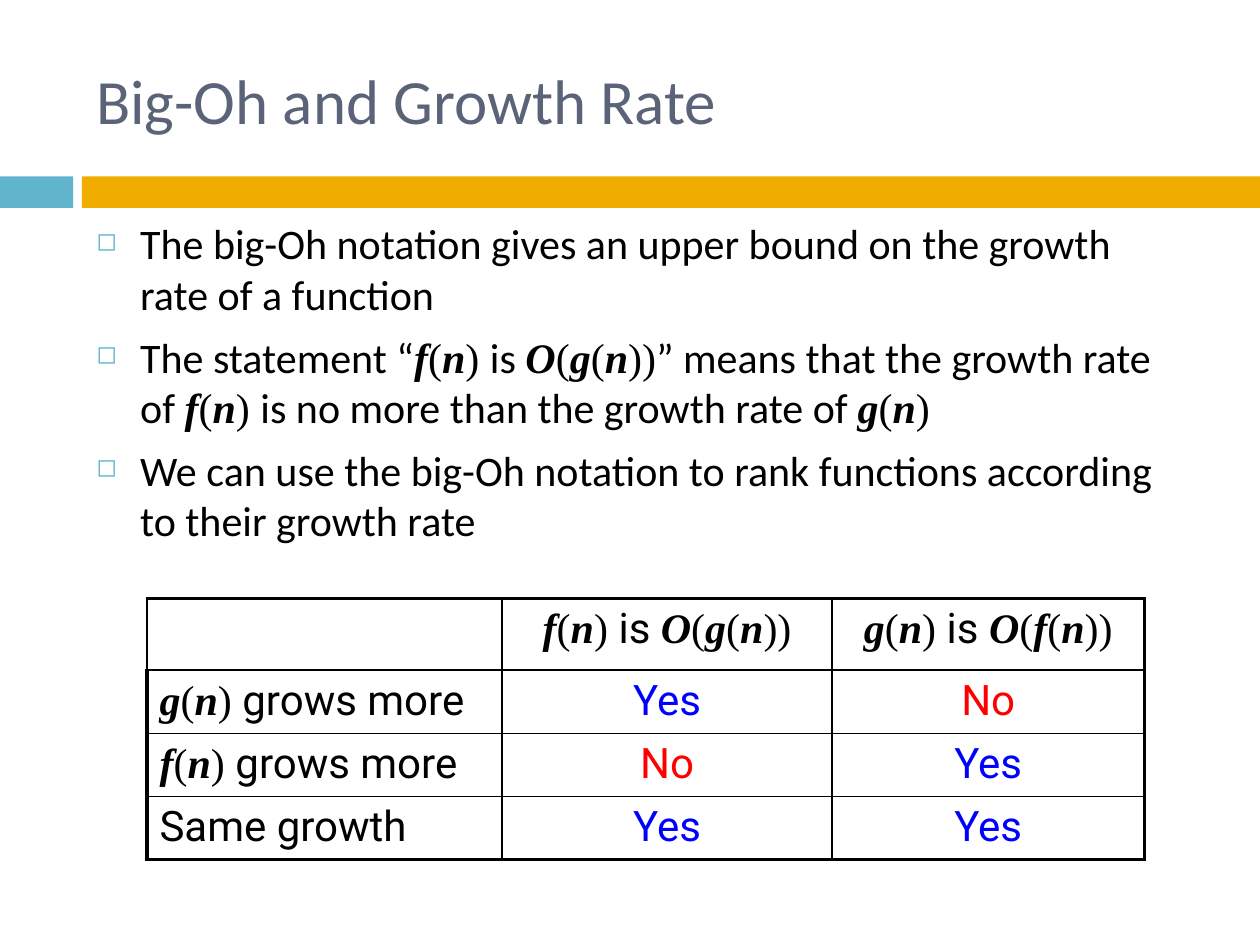
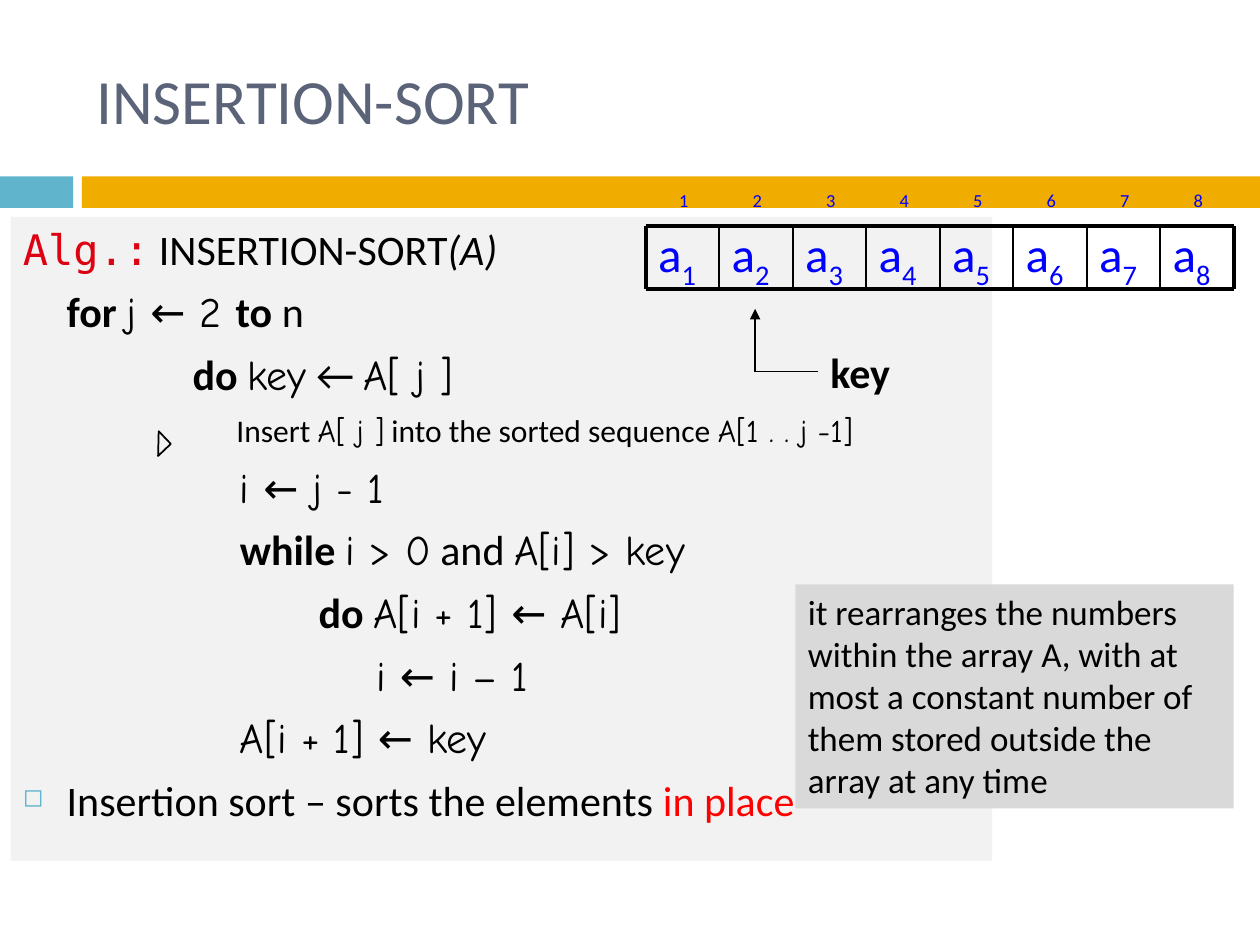
from dataclasses import dataclass

from lxml import etree
from pptx import Presentation
from pptx.dml.color import RGBColor
from pptx.enum import shapes, text as text_enum
from pptx.oxml import ns
from pptx.util import Pt


@dataclass(frozen=True)
class Theme:
    # Colours
    accent: str = "60B5CC"
    band: str = "F0AD00"
    title: str = "5A6378"
    ink: str = "000000"
    blue: str = "0000FF"
    red: str = "FF0000"
    label: str = "DD0111"
    code_panel: str = "F2F2F2"
    note_panel: str = "D9D9D9"
    # Fonts
    body_font: str = "Calibri"
    math_font: str = "Times New Roman"
    code_font: str = "Comic Neue"
    mono_font: str = "DejaVu Sans Mono"
    table_font: str = "Roboto"
    # Type sizes and line widths
    title_size: float = 36
    cell_size: float = 28
    body_size: float = 24
    note_size: float = 20
    remark_size: float = 18
    index_size: float = 10.5
    thick: float = 2.25
    thin: float = 1
    arrow: float = 0.75


THEME = Theme()
HANGING = 25
PARAGRAPH_GAP = 7


def styled(content, font=THEME.body_font, size=THEME.body_size, color=THEME.ink,
           bold=False, italic=False, baseline=0):
    """Return a run: its text and its complete format."""
    return dict(content=content, font=font, size=size, color=color,
                bold=bold, italic=italic, baseline=baseline)


def formula(content):
    """Return runs with bold italic letters and upright brackets."""
    return [styled(mark, font=THEME.math_font, bold=mark.isalpha(), italic=mark.isalpha())
            for mark in content]


def code(content, **options):
    return styled(content, font=THEME.code_font, **options)


def keyword(content):
    return styled(content, bold=True)


def add_xml(parent, tag, **attributes):
    return etree.SubElement(parent, ns.qn(tag), attributes)


class SlideBuilder:
    def __init__(self, presentation, theme):
        self.presentation = presentation
        self.theme = theme
        self.slide = None

    def new_slide(self, title):
        theme = self.theme
        self.slide = self.presentation.slides.add_slide(self.presentation.slide_layouts[6])
        self.rectangle(0, 100.8, 41.8, 18, theme.accent)
        self.rectangle(46.8, 100.8, 673.2, 18, theme.band)
        self.text_box(48, 18, 642, 78, [[styled(title, size=theme.title_size, color=theme.title)]],
                      middle=True)

    def shape(self, kind, left, top, width, height):
        shape = self.slide.shapes.add_shape(kind, Pt(left), Pt(top), Pt(width), Pt(height))
        shape.shadow.inherit = False
        return shape

    def rectangle(self, left, top, width, height, fill):
        shape = self.shape(shapes.MSO_SHAPE.RECTANGLE, left, top, width, height)
        shape.fill.solid()
        shape.fill.fore_color.rgb = RGBColor.from_string(fill)
        shape.line.fill.background()

    def marker(self, left, top, side, rotation):
        shape = self.shape(shapes.MSO_SHAPE.RIGHT_TRIANGLE, left, top, side, side)
        shape.rotation = rotation
        shape.fill.background()
        shape.line.color.rgb = RGBColor.from_string(self.theme.ink)
        shape.line.width = Pt(self.theme.thin)

    def add_runs(self, paragraph, runs):
        for item in runs:
            run = paragraph.add_run()
            run.text = item["content"]
            font = run.font
            font.name, font.size = item["font"], Pt(item["size"])
            font.bold, font.italic = item["bold"], item["italic"]
            font.color.rgb = RGBColor.from_string(item["color"])
            if item["baseline"]:
                run._r.get_or_add_rPr().set("baseline", str(item["baseline"] * 1000))

    def indent(self, paragraph, left, bullet):
        paragraph.space_before = Pt(PARAGRAPH_GAP)
        properties = paragraph._p.get_or_add_pPr()
        properties.set("marL", str(Pt(left)))
        properties.set("indent", str(Pt(-HANGING if bullet else 0)))
        if bullet:
            color = add_xml(properties, "a:buClr")
            add_xml(color, "a:srgbClr", val=self.theme.accent)
            add_xml(properties, "a:buSzPct", val="60000")
            add_xml(properties, "a:buChar", char="◻")

    def text_box(self, left, top, width, height, paragraphs, fill=None, middle=False,
                 wrap=True, indents=None, bullets=()):
        shape = self.slide.shapes.add_textbox(Pt(left), Pt(top), Pt(width), Pt(height))
        if fill:
            shape.fill.solid()
            shape.fill.fore_color.rgb = RGBColor.from_string(fill)
        frame = shape.text_frame
        frame.word_wrap = wrap
        frame.vertical_anchor = text_enum.MSO_ANCHOR.MIDDLE if middle else text_enum.MSO_ANCHOR.TOP
        for index, runs in enumerate(paragraphs):
            paragraph = frame.add_paragraph() if index else frame.paragraphs[0]
            if indents:
                self.indent(paragraph, indents[index], index in bullets)
            self.add_runs(paragraph, runs)

    def line(self, start, end, width, arrow=False):
        connector = self.slide.shapes.add_connector(
            shapes.MSO_CONNECTOR.STRAIGHT, *(Pt(value) for value in (*start, *end)))
        connector.line.color.rgb = RGBColor.from_string(self.theme.ink)
        connector.line.width = Pt(width)
        properties = connector._element.spPr
        if arrow:
            add_xml(properties.find(ns.qn("a:ln")), "a:tailEnd", type="triangle")
        add_xml(properties, "a:effectLst")

    def border(self, cell, widths):
        properties = cell._tc.get_or_add_tcPr()
        for position, (side, width) in enumerate(widths.items()):
            edge = etree.Element(ns.qn(f"a:ln{side}"), w=str(Pt(width)))
            add_xml(add_xml(edge, "a:solidFill"), "a:srgbClr", val=self.theme.ink)
            properties.insert(position, edge)

    def table(self, left, top, column_widths, row_heights, rows):
        theme = self.theme
        table = self.slide.shapes.add_table(
            len(rows), len(column_widths), Pt(left), Pt(top),
            Pt(sum(column_widths)), Pt(sum(row_heights))).table
        for column, width in zip(table.columns, column_widths):
            column.width = Pt(width)
        for row, height in zip(table.rows, row_heights):
            row.height = Pt(height)
        last_row, last_column = len(rows) - 1, len(column_widths) - 1
        for i, row in enumerate(rows):
            for j, runs in enumerate(row):
                cell = table.cell(i, j)
                cell.fill.background()
                thick_edges = {"L": j == 0 and i > 0, "R": j == last_column,
                               "T": i == 0, "B": i == last_row}
                self.border(cell, {side: theme.thick if thick else theme.thin
                                   for side, thick in thick_edges.items()})
                paragraph = cell.text_frame.paragraphs[0]
                if j:
                    paragraph.alignment = text_enum.PP_ALIGN.CENTER
                self.add_runs(paragraph, runs)


def build_growth_rate(builder):
    theme = builder.theme
    builder.new_slide("Big-Oh and Growth Rate")

    # Statements
    statements = [
        [styled("The big-Oh notation gives an upper bound on the growth rate of a function")],
        [styled("The statement “"), *formula("f(n) "), styled("is "), *formula("O(g(n))"),
         styled("” means that the growth rate of "), *formula("f(n) "),
         styled("is no more than the growth rate of "), *formula("g(n)")],
        [styled("We can use the big-Oh notation to rank functions according to their growth rate")],
    ]
    builder.text_box(48, 121, 630, 204, statements, indents=[HANGING] * 3, bullets=range(3))

    # Comparison table
    def plain(content, **options):
        return styled(content, font=theme.table_font, **options)

    def heading(function, bound):
        return [*formula(function + " "), plain("is "), *formula(bound)]

    def grows_more(function):
        return [*formula(function + " "), plain("grows more")]

    yes = [plain("Yes", color=theme.blue)]
    no = [plain("No", color=theme.red)]
    builder.table(84, 342, [203, 188.5, 178.5], [41, 35.5, 35.5, 35.5], [
        [[], heading("f(n)", "O(g(n))"), heading("g(n)", "O(f(n))")],
        [grows_more("g(n)"), yes, no],
        [grows_more("f(n)"), no, yes],
        [[plain("Same growth")], yes, yes],
    ])


def build_insertion_sort(builder):
    theme = builder.theme
    builder.new_slide("INSERTION-SORT")

    # Pseudocode: left indent and runs of each line
    small = theme.remark_size
    lines = [
        (0, [styled("Alg.:", font=theme.mono_font, color=theme.label),
             styled(" INSERTION-SORT"), styled("(A)", italic=True)]),
        (HANGING, [keyword("for "), code("j ← 2 "), keyword("to "), styled("n")]),
        (97, [keyword("do "), code("key"), styled(" ← "), code("A[ j ]")]),
        (122, [styled("Insert ", size=small), code("A[ j ]", size=small),
               styled(" into the sorted sequence ", size=small),
               code("A[1 . . j -1]", size=small)]),
        (124, [code("i ← j - 1")]),
        (124, [keyword("while "), code("i > 0"), styled(" and "), code("A[i] > key")]),
        (169, [keyword("do "), code("A[i + 1] ← A[i]")]),
        (202, [code("i ← i – 1")]),
        (124, [code("A[i + 1] ← key")]),
        (HANGING, [styled("Insertion sort – sorts the elements "),
                   styled("in place", color=theme.red)]),
    ]
    indents, paragraphs = zip(*lines)
    builder.text_box(6, 124, 561, 368, paragraphs, fill=theme.code_panel,
                     indents=indents, bullets=[len(lines) - 1])

    # Array cells with their indices
    left, top, cell_width, cell_height, count = 369, 129, 42, 36, 8
    right, bottom = left + count * cell_width, top + cell_height
    for index in range(count):
        x, number = left + index * cell_width, str(index + 1)
        element = [styled("a", size=theme.cell_size, color=theme.blue),
                   styled(number, size=theme.cell_size, color=theme.blue, baseline=-25)]
        builder.text_box(x, top, cell_width, cell_height, [element], middle=True)
        builder.text_box(x + 12, 104.5, 18, 20,
                         [[styled(number, size=theme.index_size, color=theme.blue)]])

    # Array grid
    for y in (top, bottom):
        builder.line((left, y), (right, y), theme.thick)
    for index in range(count + 1):
        x = left + index * cell_width
        builder.line((x, top), (x, bottom), theme.thick if index in (0, count) else theme.thin)

    # Key pointer
    builder.text_box(467.5, 194.5, 50.5, 36.5, [[keyword("key")]], wrap=False)
    corner = (431.5, 212.5)
    builder.line((467.5, 212.5), corner, theme.arrow)
    builder.line(corner, (431.5, 176.5), theme.arrow, arrow=True)

    # Remark marker and note
    builder.marker(85.5, 248.5, 10, 226.4)
    note = ("it rearranges the numbers within the array A, with at most a constant "
            "number of them stored outside the array at any time")
    builder.text_box(454.5, 334, 250.5, 128, [[styled(note, size=theme.note_size)]],
                     fill=theme.note_panel)


def main():
    presentation = Presentation()
    presentation.slide_width, presentation.slide_height = Pt(720), Pt(540)
    builder = SlideBuilder(presentation, THEME)
    build_growth_rate(builder)
    build_insertion_sort(builder)
    presentation.save("out.pptx")


if __name__ == "__main__":
    main()
